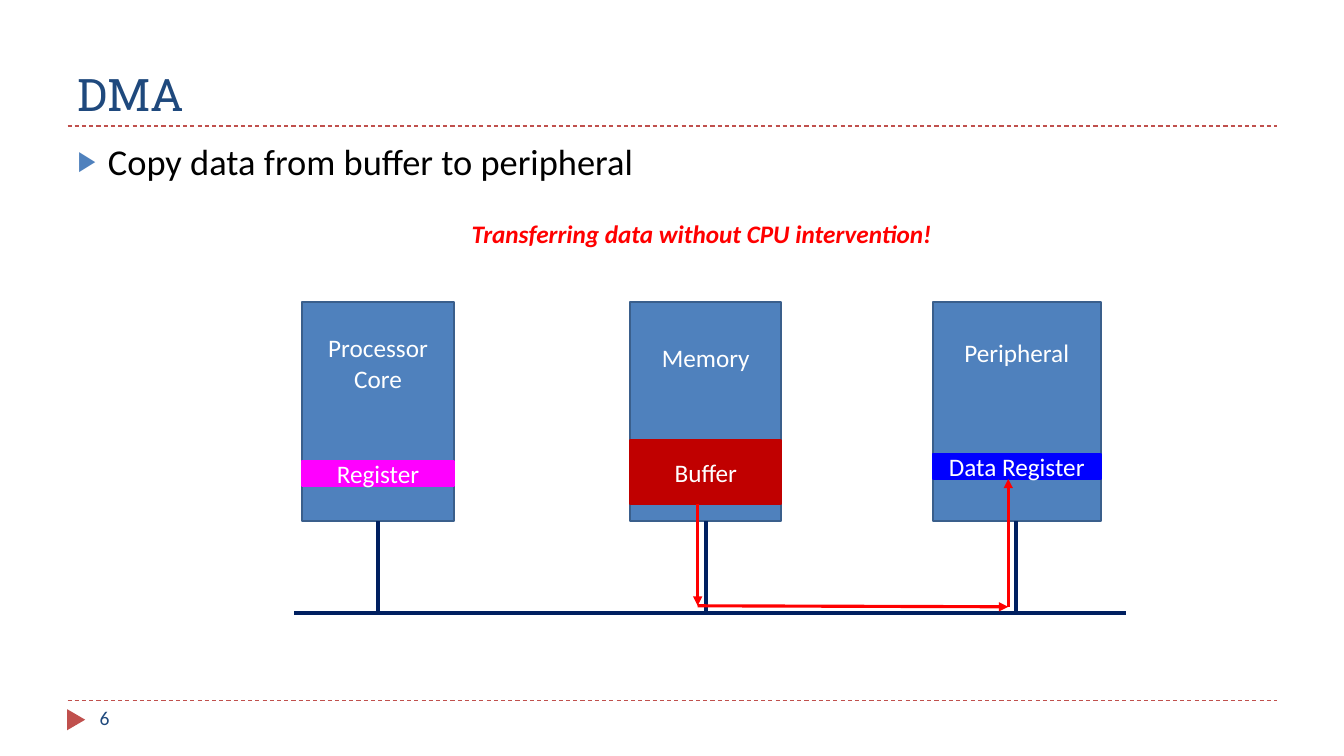
from dataclasses import dataclass

from lxml import etree
from pptx import Presentation
from pptx.dml.color import RGBColor
from pptx.enum.dml import MSO_LINE
from pptx.enum.shapes import MSO_CONNECTOR, MSO_SHAPE
from pptx.enum.text import MSO_ANCHOR, MSO_AUTO_SIZE, PP_ALIGN
from pptx.oxml.ns import qn
from pptx.util import Pt

PX = 9144
STRAIGHT = MSO_CONNECTOR.STRAIGHT
RECTANGLE = MSO_SHAPE.RECTANGLE
TRIANGLE = MSO_SHAPE.ISOSCELES_TRIANGLE
DASH = MSO_LINE.DASH
TOP, MIDDLE, BOTTOM = MSO_ANCHOR.TOP, MSO_ANCHOR.MIDDLE, MSO_ANCHOR.BOTTOM
LEFT, CENTER = PP_ALIGN.LEFT, PP_ALIGN.CENTER
NO_AUTOFIT = MSO_AUTO_SIZE.NONE


@dataclass(frozen=True)
class Theme:
    """Colours, fonts and type sizes of the slide."""
    heading_font: str = "Roboto Slab"
    body_font: str = "Calibri"
    heading: str = "1F497D"
    body: str = "000000"
    label: str = "FFFFFF"
    rule: str = "C0504D"
    block: str = "4F81BD"
    block_edge: str = "3A5F8C"
    core_register: str = "FF00FF"
    buffer: str = "C00000"
    data_register: str = "0000FF"
    bus: str = "002060"
    transfer: str = "FF0000"
    title_size: int = 32
    body_size: int = 26
    label_size: int = 18
    number_size: int = 14


THEME = Theme()


def px(*lengths):
    """Turn px lengths into EMU."""
    return [length * PX for length in lengths]


def rgb(colour):
    """Turn a hex string into a colour."""
    return RGBColor.from_string(colour)


def write(frame, text, size, colour, font=THEME.body_font, align=LEFT, anchor=TOP, strong=False):
    """Write one formatted run into a text frame."""
    frame.word_wrap = True
    frame.auto_size = NO_AUTOFIT
    frame.vertical_anchor = anchor
    paragraph = frame.paragraphs[0]
    paragraph.alignment = align
    paragraph.space_before = Pt(0)
    run = paragraph.add_run()
    run.text = text
    run.font.name = font
    run.font.size = Pt(size)
    run.font.color.rgb = rgb(colour)
    run.font.bold = run.font.italic = strong
    return paragraph


def text_box(slide, box, text, size, colour, **style):
    """Place a text box."""
    frame = slide.shapes.add_textbox(*px(*box)).text_frame
    write(frame, text, size, colour, **style)


def fill_placeholder(placeholder, box, text, size, colour, **style):
    """Move a placeholder to its box and write its text."""
    placeholder.left, placeholder.top, placeholder.width, placeholder.height = px(*box)
    return write(placeholder.text_frame, text, size, colour, **style)


def line(slide, start, end, colour, weight, dash=None, arrow=False):
    """Draw a straight line, with an optional arrowhead at its end."""
    connector = slide.shapes.add_connector(STRAIGHT, *px(*start, *end))
    connector.line.color.rgb = rgb(colour)
    connector.line.width = Pt(weight)
    if dash:
        connector.line.dash_style = dash
    properties = connector.line._get_or_add_ln()
    if arrow:
        etree.SubElement(properties, qn("a:tailEnd"), type="triangle")
    etree.SubElement(properties.getparent(), qn("a:effectLst"))


def panel(slide, preset, box, fill, edge=None):
    """Draw a filled preset shape."""
    shape = slide.shapes.add_shape(preset, *px(*box))
    shape.shadow.inherit = False
    shape.fill.solid()
    shape.fill.fore_color.rgb = rgb(fill)
    if edge:
        shape.line.color.rgb = rgb(edge)
        shape.line.width = Pt(1.5)
    else:
        shape.line.fill.background()
    return shape


def header(slide, box):
    """Place the title above its dashed rule."""
    left, top, width, height = box
    fill_placeholder(slide.shapes.title, box, "DMA", THEME.title_size, THEME.heading,
                     font=THEME.heading_font, anchor=BOTTOM)
    line(slide, (left, top + height), (left + width, top + height), THEME.rule, 0.75, DASH)


def bullet_list(slide, box):
    """Place the bulleted statement."""
    paragraph = fill_placeholder(slide.placeholders[1], box, "Copy data from buffer to peripheral",
                                 THEME.body_size, THEME.body)
    properties = paragraph._p.get_or_add_pPr()
    properties.set("marL", str(30 * PX))
    properties.set("indent", str(-30 * PX))
    bullet_colour = etree.SubElement(properties, qn("a:buClr"))
    etree.SubElement(bullet_colour, qn("a:srgbClr"), val=THEME.block)
    etree.SubElement(properties, qn("a:buSzPct"), val="76000")
    etree.SubElement(properties, qn("a:buFont"), typeface="Arial")
    etree.SubElement(properties, qn("a:buChar"), char="▶")


def footer(slide, box):
    """Place the dashed rule, the marker and the slide number."""
    left, top, width, height = box
    line(slide, (left, top), (left + width, top), THEME.rule, 0.75, DASH)
    marker = panel(slide, TRIANGLE, (left - 2, top + 10, 21, 18), THEME.rule)
    marker.rotation = 90
    text_box(slide, (left + 22, top, 289, height), "6", THEME.number_size, THEME.heading)


def block(slide, box, name, name_height, store, store_colour, store_top, store_height, bus_y):
    """Draw a hardware block with its store and its link to the bus."""
    left, top, width, height = box
    panel(slide, RECTANGLE, box, THEME.block, THEME.block_edge)
    store_box = (left, top + store_top, width, store_height)
    store_panel = panel(slide, RECTANGLE, store_box, store_colour, store_colour)
    centred = dict(align=CENTER, anchor=MIDDLE)
    write(store_panel.text_frame, store, THEME.label_size, THEME.label, **centred)
    middle = left + width // 2
    line(slide, (middle, top + height), (middle, bus_y), THEME.bus, 3)
    text_box(slide, (left, top, width, name_height), name, THEME.label_size, THEME.label, **centred)


def diagram(slide, box):
    """Draw the blocks on the bus and the transfer between them."""
    left, top, width, height = box
    bus_y = top + height
    blocks = [
        (8, 150, "Processor Core", 120, "Register", THEME.core_register, 157, 25),
        (333, 150, "Memory", 110, "Buffer", THEME.buffer, 137, 63),
        (633, 167, "Peripheral", 100, "Data Register", THEME.data_register, 150, 25),
    ]
    for offset, block_width, *parts in blocks:
        block(slide, (left + offset, top, block_width, 217), *parts, bus_y)
    line(slide, (left, bus_y), (left + width, bus_y), THEME.bus, 3)

    route = [(400, 200), (400, 301), (708, 302), (708, 175)]
    stops = [(left + x, top + y) for x, y in route]
    for start, end in zip(stops, stops[1:]):
        line(slide, start, end, THEME.transfer, 2.25, arrow=True)


def main():
    """Build and save the slide."""
    deck = Presentation()
    deck.slide_width, deck.slide_height = px(1333, 750)
    slide = deck.slides.add_slide(deck.slide_layouts[1])
    header(slide, (67, 17, 1200, 108))
    bullet_list(slide, (67, 133, 1050, 117))
    footer(slide, (67, 695, 1200, 40))
    diagram(slide, (292, 300, 825, 308))
    text_box(slide, (458, 212, 508, 40), "Transferring data without CPU intervention!",
             THEME.label_size, THEME.transfer, strong=True)
    deck.save("out.pptx")


if __name__ == "__main__":
    main()
